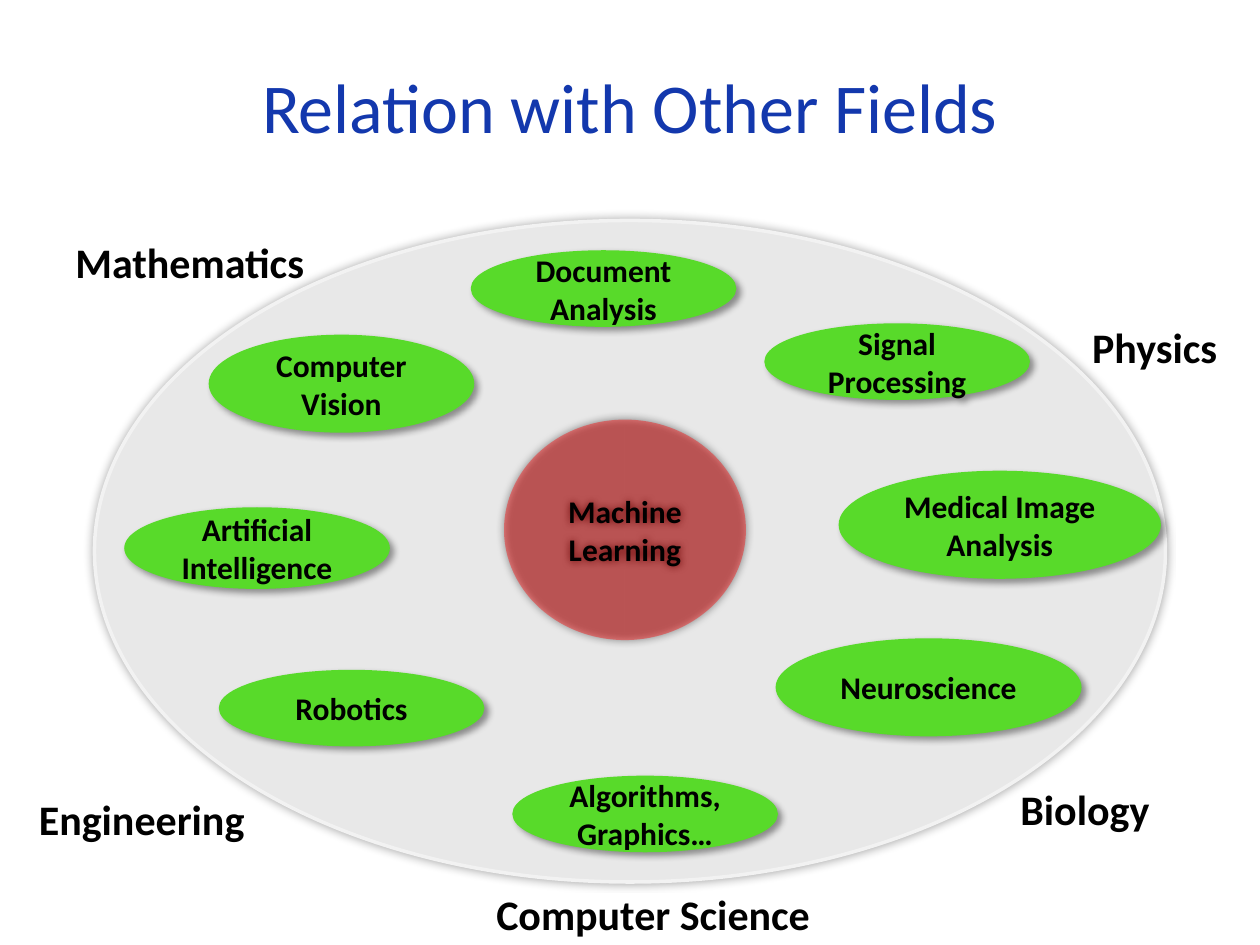
from lxml.etree import SubElement
from pptx import Presentation
from pptx.dml.color import RGBColor
from pptx.enum.shapes import MSO_SHAPE
from pptx.enum.text import MSO_ANCHOR, MSO_AUTO_SIZE, PP_ALIGN
from pptx.oxml.ns import qn
from pptx.util import Inches, Pt

COLORS = {
    "title": "1338AD",
    "text": "000000",
    "shadow": "000000",
    "backdrop": "E8E8E8",
    "backdrop_edge": "F2F2F2",
    "core": "FF0000",
    "field": "58DA2A",
}


def write(shape, text, size, color="text", bold=True, align=PP_ALIGN.CENTER):
    frame = shape.text_frame
    frame.text = text
    frame.vertical_anchor = MSO_ANCHOR.MIDDLE
    paragraph = frame.paragraphs[0]
    paragraph.alignment = align
    font = paragraph.runs[0].font
    font.name, font.size, font.bold = "Calibri", Pt(size), bold
    font.color.rgb = RGBColor.from_string(COLORS[color])


def add_ellipse(box, fill, edge=None, opacity=40, blur=4, distance=3, angle=45):
    """Add an ellipse with a soft shadow; opacity and angle are the shadow's."""
    ellipse = slide.shapes.add_shape(MSO_SHAPE.OVAL, *map(Inches, box))
    ellipse.fill.solid()
    ellipse.fill.fore_color.rgb = RGBColor.from_string(COLORS[fill])
    if edge:
        ellipse.line.color.rgb = RGBColor.from_string(COLORS[edge])
        ellipse.line.width = Pt(2)
    else:
        ellipse.line.fill.background()
    ellipse.shadow.inherit = False
    effects = ellipse._element.spPr.find(qn("a:effectLst"))
    shadow = SubElement(effects, qn("a:outerShdw"), blurRad=str(Pt(blur)),
                        dist=str(Pt(distance)), dir=str(angle * 60000),
                        algn="ctr", rotWithShape="0")
    shade = SubElement(shadow, qn("a:srgbClr"), val=COLORS["shadow"])
    SubElement(shade, qn("a:alpha"), val=str(opacity * 1000))
    return ellipse


prs = Presentation()
prs.slide_width, prs.slide_height = Inches(10), Inches(7.5)
slide = prs.slides.add_slide(prs.slide_layouts[6])

title = slide.shapes.add_textbox(Inches(0.5), Inches(0.42), Inches(9), Inches(0.83))
title.text_frame.word_wrap = True
write(title, "Relation with Other Fields", 40, "title", bold=False)

add_ellipse((0.75, 1.75, 8.5, 5.25), "backdrop", "backdrop_edge",
            opacity=32, blur=5, distance=0, angle=0)

core = add_ellipse((4, 3.33, 1.92, 1.75), "core", blur=5, distance=0, angle=0)
core_color = core._element.spPr.find(qn("a:solidFill")).find(qn("a:srgbClr"))
SubElement(core_color, qn("a:alpha"), val="40000")
write(core, "Machine Learning", 18)

related_fields = [
    ("Algorithms, Graphics…", 4.08, 6.17, 2.08, 0.58),
    ("Neuroscience", 6.17, 5.08, 2.4, 0.75),
    ("Medical Image Analysis", 6.67, 3.75, 2.53, 0.83),
    ("Signal Processing", 6.08, 2.58, 2.08, 0.58),
    ("Artificial Intelligence", 1, 4.04, 2.08, 0.62),
    ("Computer Vision", 1.67, 2.67, 2.08, 0.75),
    ("Robotics", 1.75, 5.33, 2.08, 0.58),
    ("Document Analysis", 3.75, 2, 2.08, 0.58),
]
for name, *box in related_fields:
    field = add_ellipse(box, "field", "field")
    frame = field.text_frame
    frame.margin_left = frame.margin_right = frame.margin_top = frame.margin_bottom = 0
    write(field, name, 18)

disciplines = [
    ("Mathematics", 0.5, 1.83, 2.07),
    ("Engineering", 0.21, 6.25, 1.96),
    ("Computer Science", 3.84, 7, 2.82),
    ("Biology", 8, 6.17, 1.29),
    ("Physics", 8.57, 2.5, 1.27),
]
for name, left, top, width in disciplines:
    discipline = slide.shapes.add_textbox(Inches(left), Inches(top), Inches(width), Inches(0.5))
    discipline.text_frame.word_wrap = False
    discipline.text_frame.auto_size = MSO_AUTO_SIZE.SHAPE_TO_FIT_TEXT
    write(discipline, name, 24, align=PP_ALIGN.LEFT)

prs.save("out.pptx")
